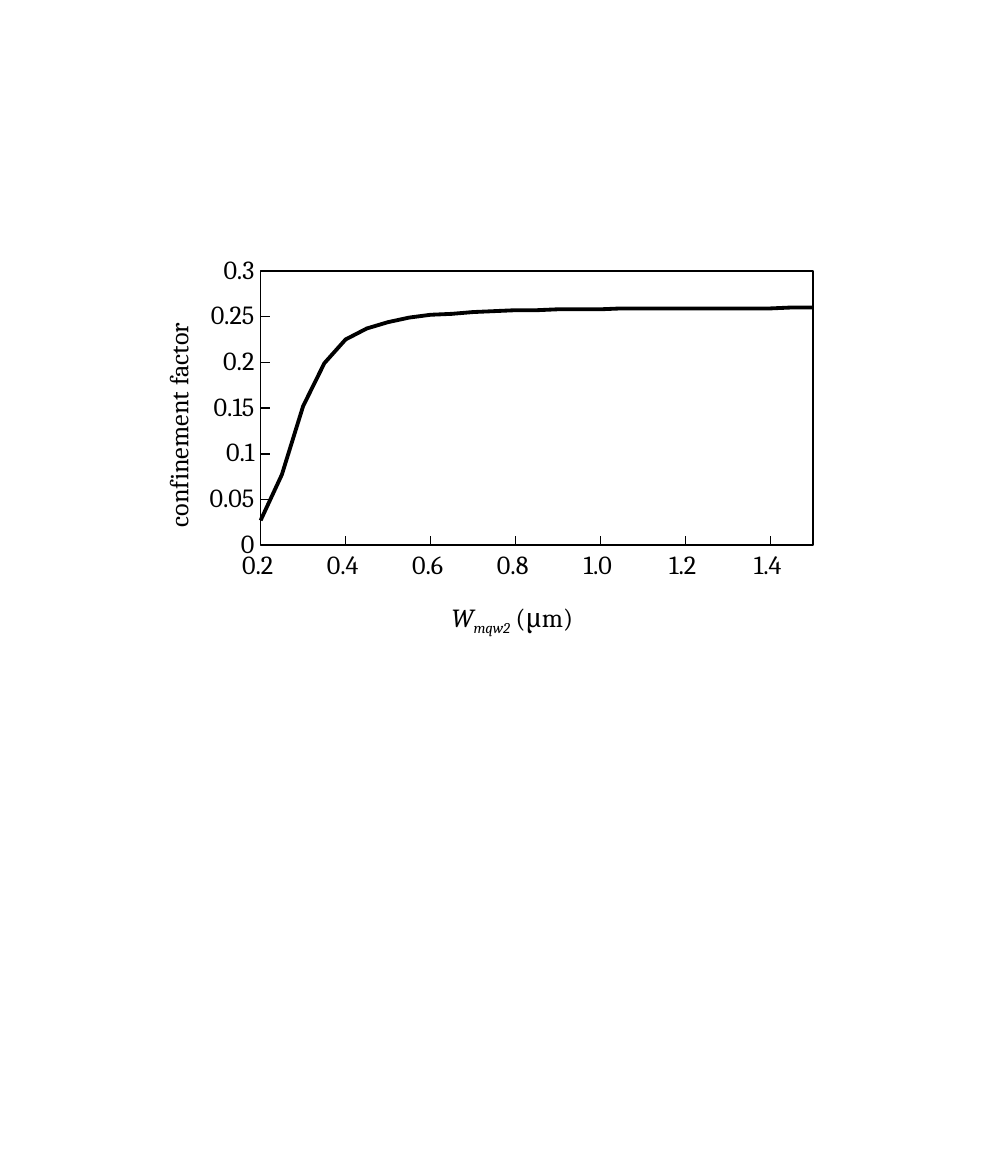
import lxml.etree
import pptx
import pptx.chart.data
import pptx.dml.color
import pptx.enum.chart
import pptx.oxml
import pptx.oxml.ns
import pptx.util

Inches = pptx.util.Inches
Pt = pptx.util.Pt
qn = pptx.oxml.ns.qn

BLACK = "000000"
FACTORS = [
    0.027, 0.077, 0.152, 0.199, 0.225, 0.237, 0.244, 0.249, 0.252,
    0.253, 0.255, 0.256, 0.257, 0.257, 0.258, 0.258, 0.258, 0.259,
    0.259, 0.259, 0.259, 0.259, 0.259, 0.259, 0.259, 0.26, 0.26,
]


def color(hex_code):
    return pptx.dml.color.RGBColor.from_string(hex_code)


def set_font(font, size=12, name="Cambria"):
    font.size = Pt(size)
    font.name = name
    font.bold = False
    font.color.rgb = color(BLACK)


def set_layout(parent, index, **values):
    for old in parent.findall(qn("c:layout")):
        parent.remove(old)
    layout = lxml.etree.Element(qn("c:layout"))
    manual = lxml.etree.SubElement(layout, qn("c:manualLayout"))
    for tag, value in values.items():
        lxml.etree.SubElement(manual, qn(f"c:{tag}"), val=str(value))
    parent.insert(index, layout)


def style_axis(axis, low, high, step, number_format):
    axis.minimum_scale, axis.maximum_scale, axis.major_unit = low, high, step
    axis.has_major_gridlines = False
    axis.major_tick_mark = pptx.enum.chart.XL_TICK_MARK.INSIDE
    axis.minor_tick_mark = pptx.enum.chart.XL_TICK_MARK.NONE
    axis.crosses = pptx.enum.chart.XL_AXIS_CROSSES.MINIMUM
    axis.tick_labels.number_format = number_format
    axis.tick_labels.number_format_is_linked = False
    set_font(axis.tick_labels.font)
    axis.format.line.color.rgb = color(BLACK)
    axis.format.line.width = Pt(0.75)


def title_axis(axis, parts, x, y):
    frame = axis.axis_title.text_frame
    paragraph = frame.paragraphs[0]
    set_font(paragraph.font)
    for text, italic, baseline in parts:
        run = paragraph.add_run()
        run.text = text
        set_font(run.font)
        run.font.italic = italic
        if baseline:
            run.font._element.set("baseline", str(baseline))
    set_layout(axis.axis_title._element, 1, xMode="edge", yMode="edge", x=x, y=y)
    return frame


def frame_plot(plot_area):
    set_layout(plot_area, 0, layoutTarget="inner", xMode="edge", yMode="edge",
               x=0.196, y=0.056, w=0.783, h=0.66)
    plot_area.append(pptx.oxml.parse_xml(
        f'<c:spPr {pptx.oxml.ns.nsdecls("c", "a")}><a:noFill/><a:ln w="9525">'
        f'<a:solidFill><a:srgbClr val="{BLACK}"/></a:solidFill></a:ln></c:spPr>'))


def add_confinement_chart(slide, left, top, width, height):
    data = pptx.chart.data.XyChartData()
    curve_data = data.add_series("Series 1")
    for index, factor in enumerate(FACTORS):
        curve_data.add_data_point(round(0.2 + 0.05 * index, 2), factor)
    chart = slide.shapes.add_chart(
        pptx.enum.chart.XL_CHART_TYPE.XY_SCATTER_SMOOTH_NO_MARKERS,
        Inches(left), Inches(top), Inches(width), Inches(height), data).chart
    chart.has_legend = False
    chart.has_title = False
    set_font(chart.font, 10, "Times New Roman")

    curve = chart.plots[0].series[0]
    curve.smooth = True
    curve.marker.style = pptx.enum.chart.XL_MARKER_STYLE.NONE
    curve.format.line.color.rgb = color(BLACK)
    curve.format.line.width = Pt(1.75)

    well_width, confinement = chart.category_axis, chart.value_axis
    style_axis(well_width, 0.2, 1.5, 0.2, "0.0_ ")
    style_axis(confinement, 0, 0.3, 0.05, "General")
    title_axis(well_width, [("W", True, 0), ("mqw2", True, -25000),
                            (" (μm)", False, 0)], 0.46, 0.84)
    caption = title_axis(confinement, [("confinement factor", False, 0)], 0.05, 0.17)
    caption._txBody.bodyPr.set("rot", "-5400000")
    caption._txBody.bodyPr.set("vert", "horz")
    frame_plot(chart._chartSpace.chart.plotArea)


def main():
    presentation = pptx.Presentation()
    presentation.slide_width = Inches(6.3)
    presentation.slide_height = Inches(7.5)
    slide = presentation.slides.add_slide(presentation.slide_layouts[6])
    add_confinement_chart(slide, 0.78, 1.58, 4.5, 2.65)
    presentation.save("out.pptx")


if __name__ == "__main__":
    main()
